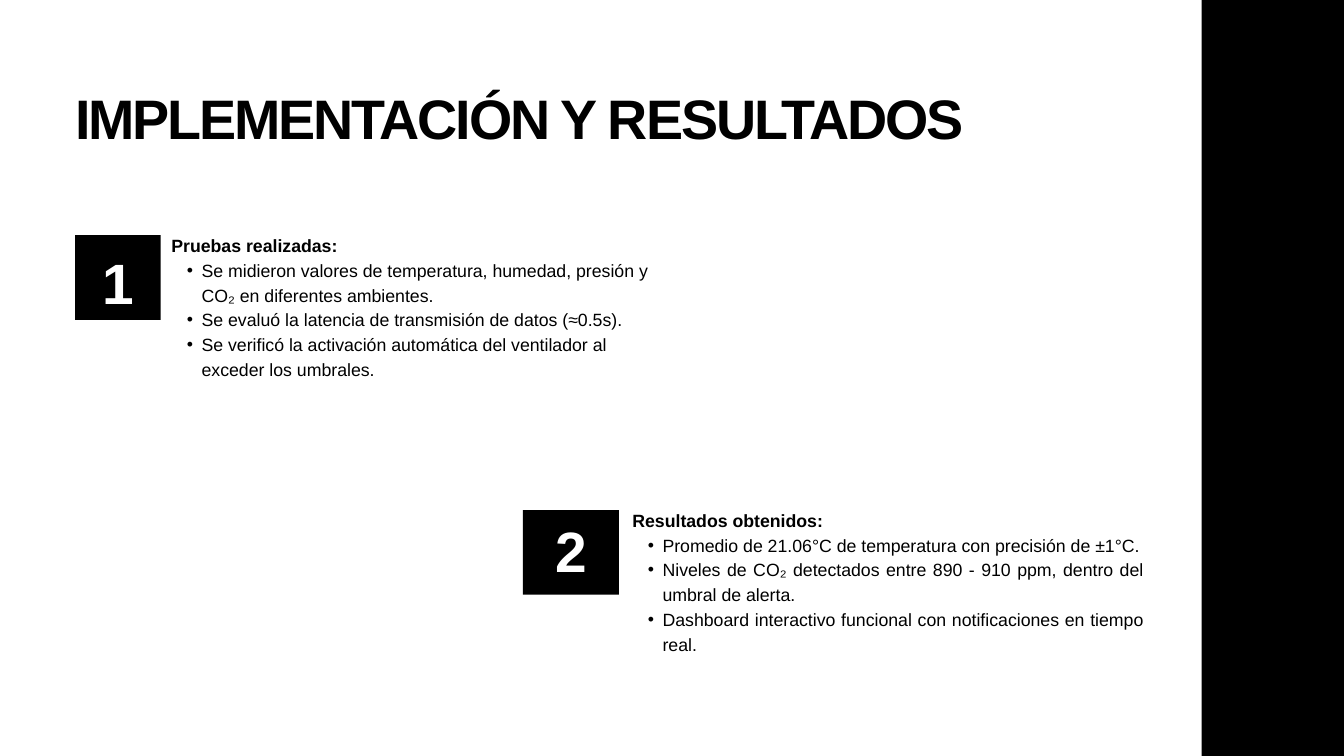
from lxml.etree import SubElement
from pptx import Presentation
from pptx.dml.color import RGBColor
from pptx.enum.shapes import MSO_SHAPE
from pptx.enum.text import PP_ALIGN
from pptx.oxml.ns import qn
from pptx.util import Inches, Pt

BLACK = RGBColor(0x00, 0x00, 0x00)
WHITE = RGBColor(0xFF, 0xFF, 0xFF)

# Content; boxes are left, top, width, height in inches
TITLE = "IMPLEMENTACIÓN Y RESULTADOS"
SIDEBAR = (17.88, 0, 2.12, 11.25)
SECTIONS = [
    {
        "number": "1",
        "square": (1.12, 3.5, 1.27, 1.26),
        "number_box": (1.45, 3.74, 0.63, 1.01),
        "text_box": (2.55, 3.44, 7.45, 2.57),
        "align": PP_ALIGN.LEFT,
        "heading": "Pruebas realizadas:",
        "bullets": [
            "Se midieron valores de temperatura, humedad, presión y CO₂ en diferentes ambientes.",
            "Se evaluó la latencia de transmisión de datos (≈0.5s).",
            "Se verificó la activación automática del ventilador al exceder los umbrales.",
        ],
    },
    {
        "number": "2",
        "square": (7.78, 7.59, 1.43, 1.26),
        "number_box": (8.14, 7.73, 0.71, 1.01),
        "text_box": (9.41, 7.53, 7.61, 2.57),
        "align": PP_ALIGN.JUSTIFY,
        "heading": "Resultados obtenidos:",
        "bullets": [
            "Promedio de 21.06°C de temperatura con precisión de ±1°C.",
            "Niveles de CO₂ detectados entre 890 - 910 ppm, dentro del umbral de alerta.",
            "Dashboard interactivo funcional con notificaciones en tiempo real.",
        ],
    },
]

# Text styles; leading and spacing in points
TITLE_STYLE = {"size": 59.6, "bold": True, "color": BLACK, "leading": 67.4, "spacing": -2.3}
NUMBER_STYLE = {"size": 60.9, "bold": True, "color": WHITE, "leading": 68.8, "spacing": -2.4}
HEADING_STYLE = {"size": 19, "bold": True, "color": BLACK, "leading": 26.6, "spacing": 0}
BULLET_STYLE = {**HEADING_STYLE, "bold": False}


def add_block(slide, box):
    s = slide.shapes.add_shape(MSO_SHAPE.RECTANGLE, *map(Inches, box))
    s.shadow.inherit = False
    s.fill.solid()
    s.fill.fore_color.rgb = BLACK
    s.line.fill.background()


def add_text(slide, box, lines, align=PP_ALIGN.LEFT):
    """Add a text box from (text, style, bulleted) lines."""
    tf = slide.shapes.add_textbox(*map(Inches, box)).text_frame
    tf.word_wrap = True
    for side in ("left", "top", "right", "bottom"):
        setattr(tf, f"margin_{side}", 0)
    for i, (text, style, bulleted) in enumerate(lines):
        p = tf.add_paragraph() if i else tf.paragraphs[0]
        p.alignment = align
        p.line_spacing = Pt(style["leading"])
        if bulleted:
            p.level = 1
            pPr = p._p.get_or_add_pPr()
            pPr.set("marL", str(Inches(0.45)))
            pPr.set("indent", str(Inches(-0.22)))
            SubElement(pPr, qn("a:buFont")).set("typeface", "Arial")
            SubElement(pPr, qn("a:buChar")).set("char", "•")
        r = p.add_run()
        r.text = text
        font = {"name": "Arial", "size": Pt(style["size"]), "bold": style["bold"]}
        for name, value in font.items():
            setattr(r.font, name, value)
        r.font.color.rgb = style["color"]
        if style["spacing"]:
            r._r.get_or_add_rPr().set("spc", str(round(style["spacing"] * 100)))


def main():
    prs = Presentation()
    prs.slide_width, prs.slide_height = Inches(20), Inches(11.25)
    slide = prs.slides.add_slide(prs.slide_layouts[6])

    # Sidebar and number squares
    for box in [SIDEBAR] + [section["square"] for section in SECTIONS]:
        add_block(slide, box)

    # Title
    add_text(slide, (1.12, 1.3, 16.76, 1), [(TITLE, TITLE_STYLE, False)])

    # Numbers and section texts
    for section in SECTIONS:
        number = [(section["number"], NUMBER_STYLE, False)]
        add_text(slide, section["number_box"], number, PP_ALIGN.CENTER)
        lines = [(section["heading"], HEADING_STYLE, False)]
        lines += [(text, BULLET_STYLE, True) for text in section["bullets"]]
        add_text(slide, section["text_box"], lines, section["align"])

    prs.save("out.pptx")


if __name__ == "__main__":
    main()
